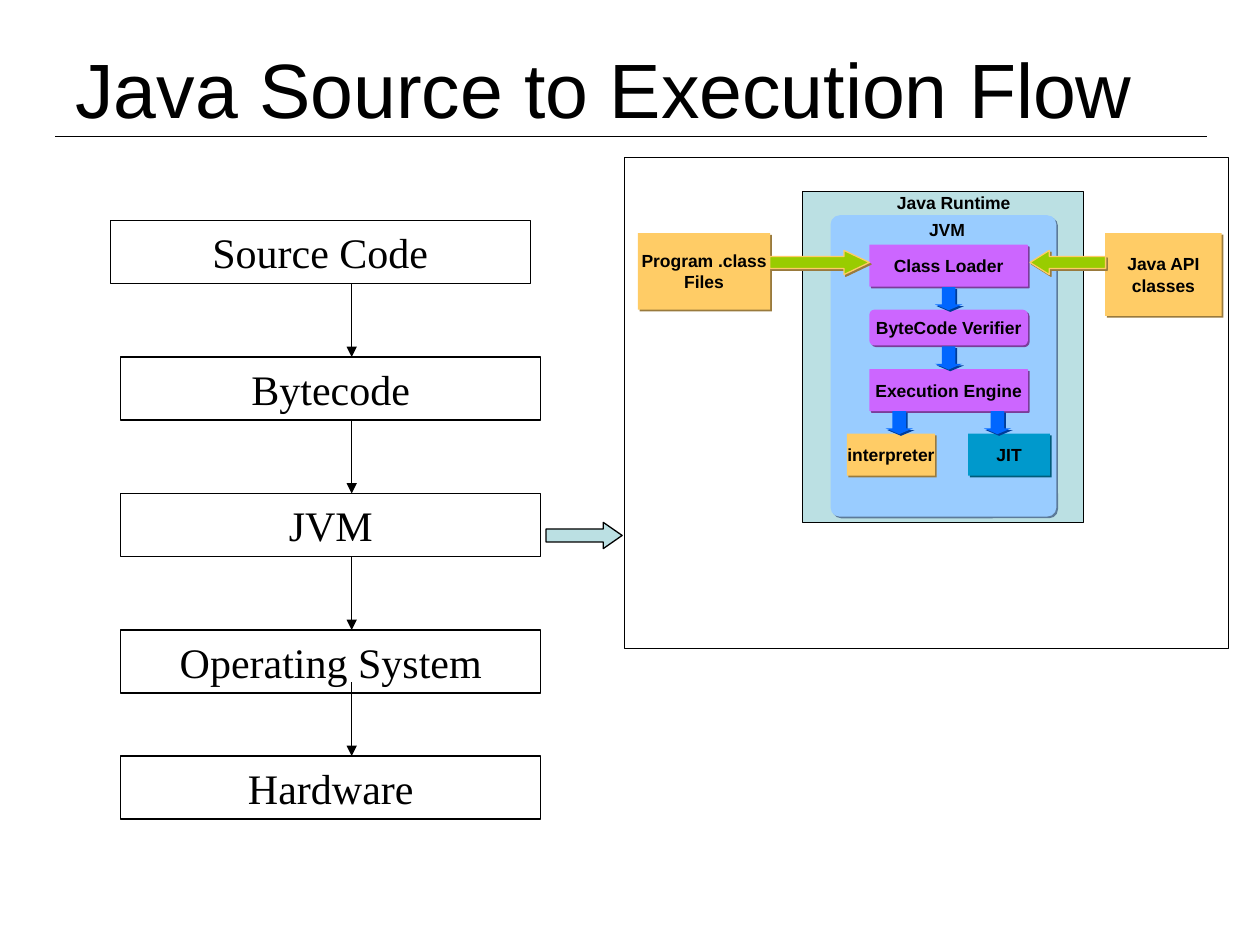
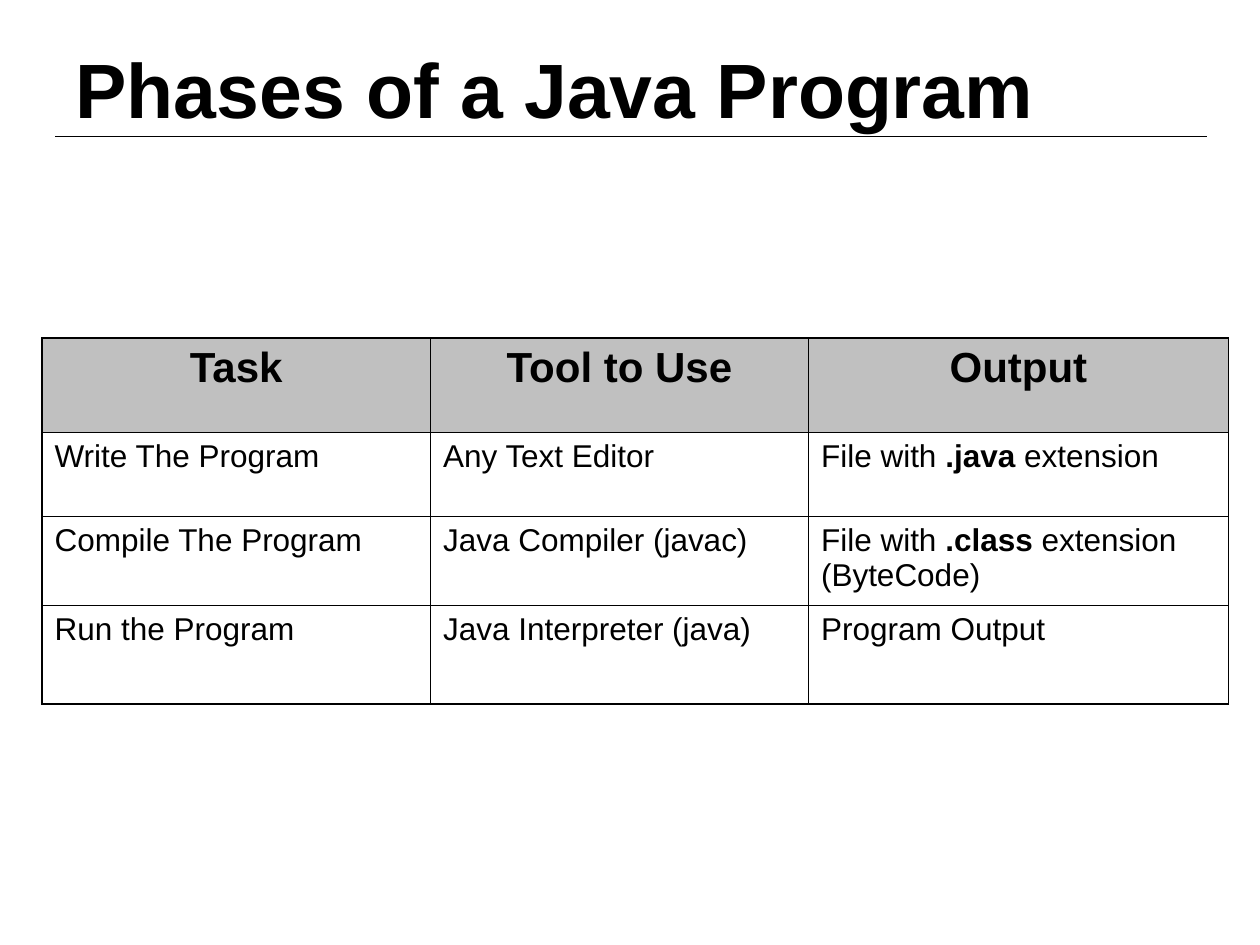
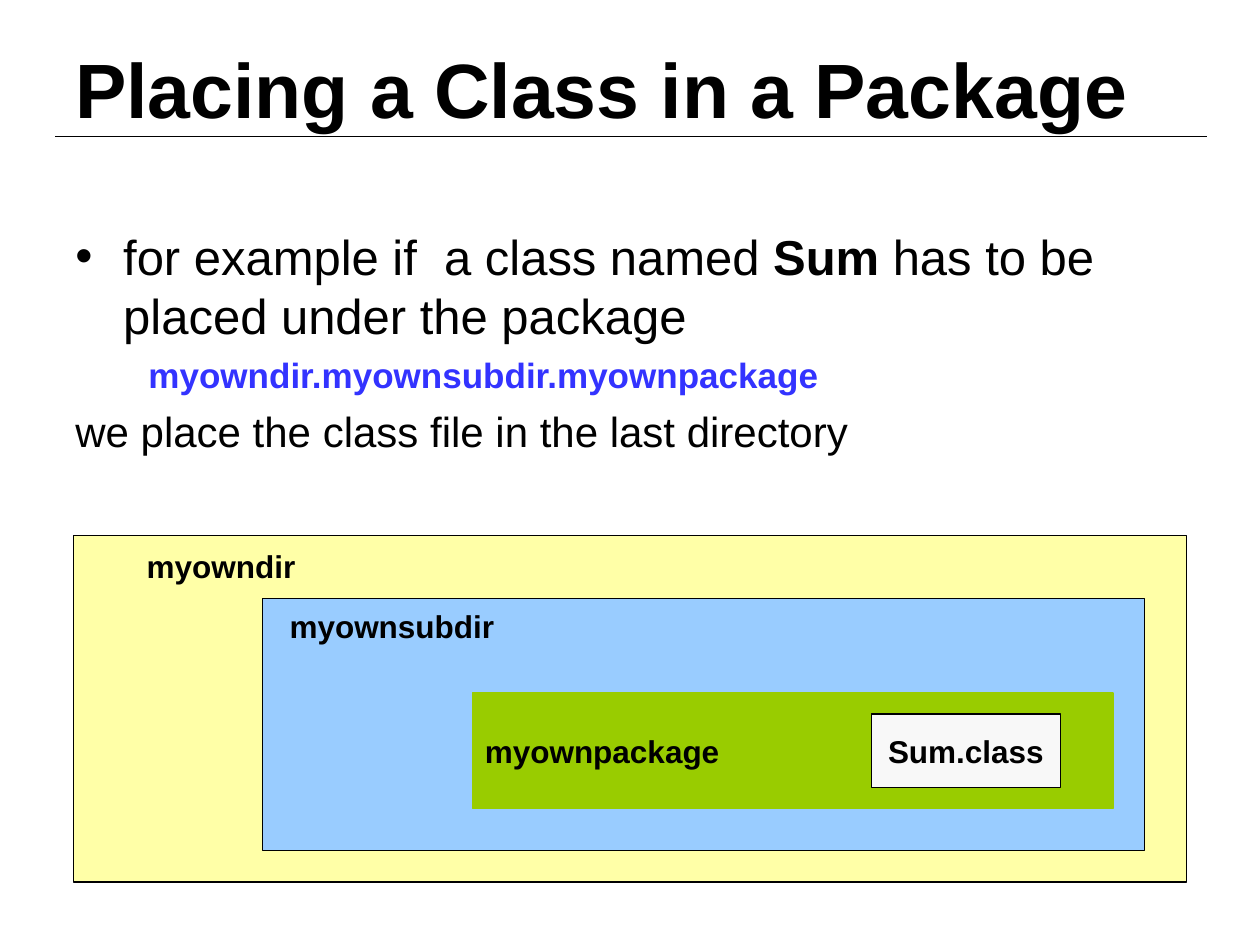
from dataclasses import dataclass

from lxml import etree
from pptx import Presentation
from pptx import util as u
from pptx.dml.color import RGBColor
from pptx.enum import shapes, text
from pptx.oxml import ns


@dataclass(frozen=True)
class Theme:
    sans: str = "Arial"
    serif: str = "Times New Roman"
    black: str = "000000"
    header_grey: str = "C0C0C0"
    pale_teal: str = "BBE0E3"
    sky: str = "99CCFF"
    amber: str = "FFCC66"
    violet: str = "CC66FF"
    teal: str = "0099CC"
    green: str = "99CC00"
    arrow_blue: str = "0066FF"
    path_blue: str = "3333FF"
    yellow: str = "FFFFA7"
    off_white: str = "F8F8F8"
    title_size: float = 44
    lead_size: float = 28
    large_size: float = 24
    path_size: float = 20
    body_size: float = 18
    label_size: float = 10
    hairline: float = 0.45
    line: float = 0.75
    table_edge: float = 1.08


theme = Theme()
Kind = shapes.MSO_SHAPE
Align = text.PP_ALIGN
Anchor = text.MSO_ANCHOR

presentation = Presentation()
presentation.slide_width, presentation.slide_height = u.Inches(10), u.Inches(7.5)
# The grid has 120 columns and 90 rows of square cells
CELL = presentation.slide_width // 120


def add_runs(paragraph, runs, size, color=theme.black, font=theme.sans):
    """Write (text, bold) pairs into a paragraph."""
    for words, bold in runs:
        run = paragraph.add_run()
        run.text = words
        run.font.name, run.font.size, run.font.bold = font, u.Pt(size), bold
        run.font.color.rgb = RGBColor.from_string(color)


def add_block(slide, kind, box, fill=None, line=None, shadow=False, adjust=(),
              lines=(), size=theme.label_size, bold=True, font=theme.sans,
              align=Align.CENTER, anchor=Anchor.MIDDLE, wrap=False):
    """Place a preset shape, or a text box if kind is None, on the grid."""
    place = [u.Emu(round(cells * CELL)) for cells in box]
    if kind is None:
        shape = slide.shapes.add_textbox(*place)
    else:
        shape = slide.shapes.add_shape(kind, *place)
        shape.shadow.inherit = False
        for index, value in enumerate(adjust):
            shape.adjustments[index] = value
        if fill:
            shape.fill.solid()
            shape.fill.fore_color.rgb = RGBColor.from_string(fill)
        else:
            shape.fill.background()
        if line:
            shape.line.color.rgb = RGBColor.from_string(line)
            shape.line.width = u.Pt(theme.line)
        else:
            shape.line.fill.background()
    if shadow:
        # The shadow is 60 % of the outermost colour
        shade = "".join(f"{round(part * 0.6):02X}"
                        for part in RGBColor.from_string(line or fill))
        effects = shape._element.spPr.find(ns.qn("a:effectLst"))
        outer = etree.SubElement(effects, ns.qn("a:outerShdw"), blurRad="0",
                                 dist=str(u.Pt(1.4)), dir="2700000", algn="ctr",
                                 rotWithShape="0")
        etree.SubElement(outer, ns.qn("a:srgbClr"), val=shade)
    frame = shape.text_frame
    frame.word_wrap, frame.vertical_anchor = wrap, anchor
    for index, words in enumerate(lines):
        paragraph = frame.add_paragraph() if index else frame.paragraphs[0]
        paragraph.alignment = align
        add_runs(paragraph, [(words, bold)], size, font=font)
    return shape


# Slides with their titles and rules
slides, connectors = [], []
for title, bold in [("Java Source to Execution Flow", False),
                    ("Phases of a Java Program", True),
                    ("Placing a Class in a Package", True)]:
    slide = presentation.slides.add_slide(presentation.slide_layouts[6])
    add_block(slide, None, (6, 3.6, 108, 9.5), lines=[title], bold=bold,
              size=theme.title_size, align=Align.LEFT, wrap=True)
    connectors.append((slide, (5.25, 13, 115, 13), False))
    slides.append(slide)
flow_slide, phases_slide, package_slide = slides

# Flow from source code to hardware
steps = [("Source Code", 10.5, 21), ("Bytecode", 11.5, 34), ("JVM", 11.5, 47),
         ("Operating System", 11.5, 60), ("Hardware", 11.5, 72)]
for index, (name, left, top) in enumerate(steps):
    add_block(flow_slide, Kind.RECTANGLE, (left, top, 40, 6), line=theme.black,
              lines=[name], size=theme.large_size, bold=False,
              font=theme.serif, wrap=True)
    if index:
        connectors.append((flow_slide, (33.5, top - 7, 33.5, top), True))

# Runtime and virtual machine
add_block(flow_slide, Kind.RECTANGLE, (76.4, 18.25, 26.8, 31.5),
          theme.pale_teal, theme.black)
for kind, box, fill, adjust, lines in [
    (Kind.ROUNDED_RECTANGLE, (79.1, 20.5, 21.5, 28.7), theme.sky, [0.04], []),
    (Kind.RECTANGLE, (60.75, 22.2, 12.6, 7.3), theme.amber, [],
     ["Program .class", "Files"]),
    (Kind.RECTANGLE, (105.25, 22.2, 11.1, 7.9), theme.amber, [],
     ["Java API", "classes"]),
    (Kind.ROUNDED_RECTANGLE, (82.8, 23.3, 15.1, 4), theme.violet, [0.02],
     ["Class Loader"]),
    (Kind.ROUNDED_RECTANGLE, (82.8, 29.5, 15.1, 3.4), theme.violet, [0.14],
     ["ByteCode Verifier"]),
    (Kind.ROUNDED_RECTANGLE, (82.8, 35.15, 15.1, 4), theme.violet, [0.02],
     ["Execution Engine"]),
    (Kind.RECTANGLE, (80.65, 41.3, 8.4, 4), theme.amber, [], ["interpreter"]),
    (Kind.RECTANGLE, (92.2, 41.3, 7.8, 4), theme.teal, [], ["JIT"]),
]:
    add_block(flow_slide, kind, box, fill, shadow=True, adjust=adjust, lines=lines)

# Block arrows
for kind, box, ratio in [(Kind.RIGHT_ARROW, (73.3, 23.85, 9.5, 2.3), 1.05),
                         (Kind.LEFT_ARROW, (98.1, 23.85, 7.2, 2.3), 0.8)]:
    add_block(flow_slide, kind, box, theme.green, theme.amber, shadow=True,
              adjust=[0.5, ratio])
for left, top in [(84.35, 39.15), (93.7, 39.15), (89.05, 27.35), (89.05, 33)]:
    add_block(flow_slide, Kind.DOWN_ARROW, (left, top, 2.6, 2.2),
              theme.arrow_blue, shadow=True, adjust=[0.5, 0.25])

# Runtime captions, frame and the arrow leading to it
for caption, box in [("JVM", (87.3, 20.3, 5.8, 3.2)),
                     ("Java Runtime", (84.25, 17.7, 13.2, 3.2))]:
    add_block(flow_slide, None, box, lines=[caption], align=Align.LEFT,
              anchor=Anchor.TOP)
add_block(flow_slide, Kind.RECTANGLE, (59.5, 15, 57.5, 46.8), line=theme.black)
add_block(flow_slide, Kind.RIGHT_ARROW, (52, 49.75, 7.25, 2.5),
          theme.pale_teal, theme.black, adjust=[0.5, 0.72])

# Table of phases
phases = [
    [[("Task", True)], [("Tool to Use", True)], [("Output", True)]],
    [[("Write The Program", False)], [("Any Text Editor", False)],
     [("File with ", False), (".java ", True), ("extension", False)]],
    [[("Compile The Program", False)], [("Java Compiler (javac)", False)],
     [("File with ", False), (".class", True), (" extension (ByteCode)", False)]],
    [[("Run the Program", False)], [("Java Interpreter (java)", False)],
     [("Program Output", False)]],
]
widths, heights = [37, 36, 40], [9, 8, 8.45, 9.4]
last_row, last_column = len(heights) - 1, len(widths) - 1
table = phases_slide.shapes.add_table(
    len(heights), len(widths), 4 * CELL, round(32.2 * CELL),
    sum(widths) * CELL, round(sum(heights) * CELL)).table
for column, width in zip(table.columns, widths):
    column.width = width * CELL
for row, height in zip(table.rows, heights):
    row.height = round(height * CELL)
for r, row_runs in enumerate(phases):
    for c, runs in enumerate(row_runs):
        cell = table.cell(r, c)
        paragraph = cell.text_frame.paragraphs[0]
        paragraph.alignment = Align.LEFT if r else Align.CENTER
        add_runs(paragraph, runs, theme.body_size if r else theme.large_size)
        properties = cell._tc.get_or_add_tcPr()
        for side, outer in [("L", c == 0), ("R", c == last_column),
                            ("T", r == 0), ("B", r == last_row)]:
            weight = theme.table_edge if outer else theme.hairline
            border = etree.SubElement(properties, ns.qn(f"a:ln{side}"),
                                      w=str(u.Pt(weight)))
            solid = etree.SubElement(border, ns.qn("a:solidFill"))
            etree.SubElement(solid, ns.qn("a:srgbClr"), val=theme.black)
        if r:
            cell.fill.background()
        else:
            cell.fill.solid()
            cell.fill.fore_color.rgb = RGBColor.from_string(theme.header_grey)

# Explanation of the package
body = add_block(package_slide, None, (6, 21, 108, 25), anchor=Anchor.TOP, wrap=True)
for index, (runs, size, color, margin, before) in enumerate([
    ([("for example if  a class named ", False), ("Sum", True),
      (" has to be placed under the package", False)],
     theme.lead_size, theme.black, 0.38, 0),
    ([("myowndir.myownsubdir.myownpackage", True)],
     theme.path_size, theme.path_blue, 0.58, 5),
    ([("we place the class file in the last directory", False)],
     theme.large_size, theme.black, 0, 6),
]):
    paragraph = body.text_frame.add_paragraph() if index else body.text_frame.paragraphs[0]
    paragraph.space_before = u.Pt(before)
    properties = paragraph._p.get_or_add_pPr()
    properties.set("marL", str(u.Inches(margin)))
    if index == 0:
        properties.set("indent", str(-u.Inches(margin)))
        etree.SubElement(properties, ns.qn("a:buFont"), typeface=theme.sans)
        etree.SubElement(properties, ns.qn("a:buChar"), char="•")
    add_runs(paragraph, runs, size, color)

# Nested directories
for box, fill, line, lines, align in [
    ((7, 51, 106, 33), theme.yellow, theme.black, [], Align.LEFT),
    ((25, 57, 84, 24), theme.sky, theme.black, [], Align.LEFT),
    ((45, 66, 61, 11), theme.green, theme.green, ["myownpackage"], Align.LEFT),
    ((83, 68, 18, 7), theme.off_white, theme.black, ["Sum.class"], Align.CENTER),
]:
    add_block(package_slide, Kind.RECTANGLE, box, fill, line, lines=lines,
              size=theme.body_size, align=align)
for name, box in [("myowndir", (12.8, 51.5, 18, 4.8)),
                  ("myownsubdir", (26.4, 57.2, 24, 4.8))]:
    add_block(package_slide, None, box, lines=[name], size=theme.body_size,
              align=Align.LEFT, anchor=Anchor.TOP, wrap=True)

# Title rules and flow arrows
for slide, ends, arrow in connectors:
    connector = slide.shapes.add_connector(
        shapes.MSO_CONNECTOR.STRAIGHT, *[round(cells * CELL) for cells in ends])
    connector.line.color.rgb = RGBColor.from_string(theme.black)
    connector.line.width = u.Pt(theme.line)
    if arrow:
        etree.SubElement(connector.line._get_or_add_ln(), ns.qn("a:tailEnd"),
                         type="triangle")
    etree.SubElement(connector._element.spPr, ns.qn("a:effectLst"))

presentation.save("out.pptx")
